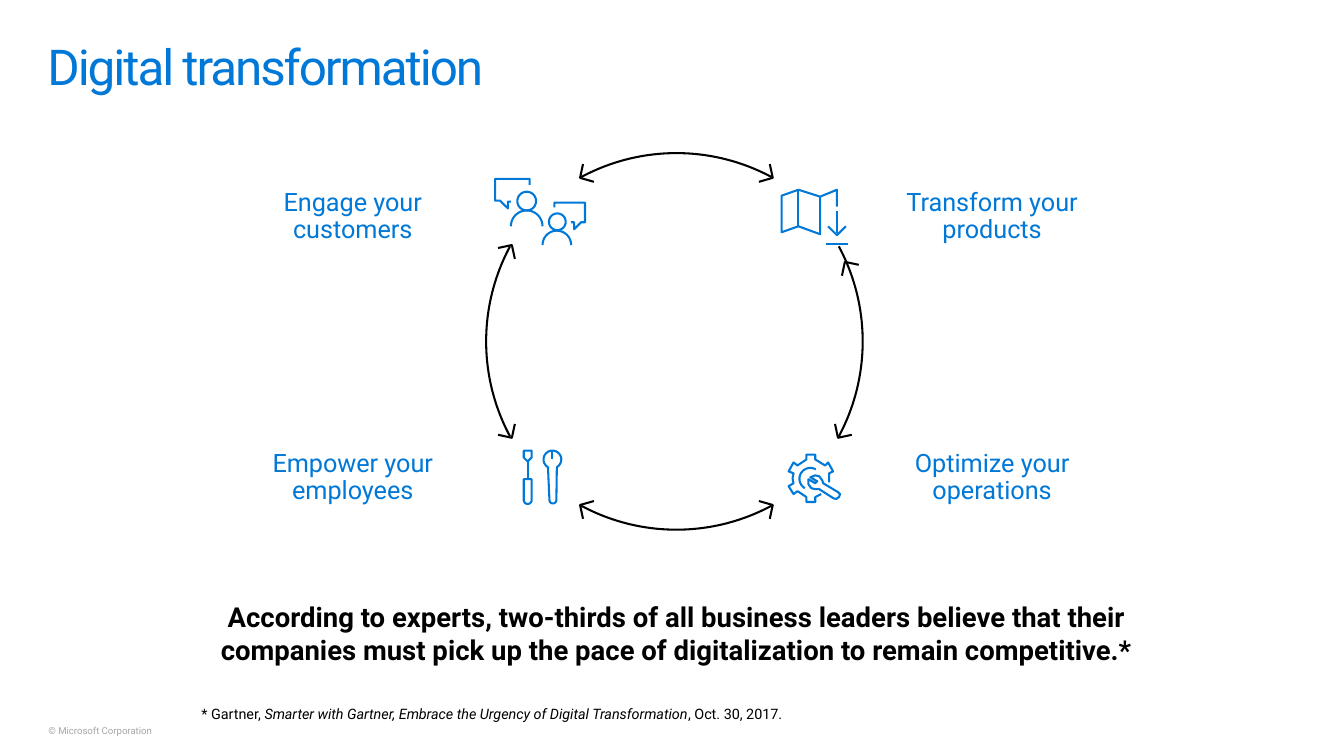
from dataclasses import dataclass
from math import cos, radians, sin

from lxml.etree import SubElement
from pptx import Presentation
from pptx.dml.color import RGBColor
from pptx.enum.shapes import MSO_SHAPE as Shape
from pptx.enum.text import MSO_ANCHOR as Anchor, PP_ALIGN as Align
from pptx.oxml.ns import qn
from pptx.util import Inches, Pt

COLUMNS, ROWS = 1360, 765  # grid cells of a hundredth of an inch


@dataclass(frozen=True)
class Theme:
    font: str = "Roboto"
    blue: RGBColor = RGBColor(0x00, 0x78, 0xD7)
    black: RGBColor = RGBColor(0x00, 0x00, 0x00)
    grey: RGBColor = RGBColor(0xA6, 0xA6, 0xA6)
    title: float = 36
    label: float = 18.4
    quote: float = 20
    footnote: float = 10.5
    copyright: float = 7
    line: float = 1.5


THEME = Theme()

LABEL_COLUMNS = (214, 861)
LABEL_ROWS = (175, 439)
LABELS = (
    ("Engage your customers", "Transform your products"),
    ("Empower your employees", "Optimize your operations"),
)
CYCLE_CENTRE = (684.5, 345.5)
CYCLE_RADIUS = 203.5
HALF_SWEEP = 28.2

# Direction in degrees, and how far the arc's centre lies from the cycle's
CYCLE_ARCS = ((270, 0, 13), (90, 0, -13), (0, -15, 0), (180, 11, 0))

# Wings and tip, then the tips with the side they point to
SIDEWAYS_HEAD = ((-14, 4), (0, 0), (-3, -14))
SIDEWAYS_TIPS = ((782, 180, 1, 1), (587, 180, -1, 1),
                 (782, 511, 1, -1), (587, 511, -1, -1))
UPRIGHT_HEAD = ((-3, -14), (0, 0), (14, -3))
UPRIGHT_TIPS = ((848, 443, 1, 1), (855, 265, 1, -1),
                (518, 443, -1, 1), (518, 248, -1, -1))


def cells(count):
    return Inches(count / 100)


def arc_points(x, y, radius, start, end):
    steps = 24
    angles = [radians(start + (end - start) * i / steps) for i in range(steps + 1)]
    return [(x + radius * cos(a), y + radius * sin(a)) for a in angles]


def person(bubble, head, shoulders):
    return [bubble, arc_points(*head, 0, 360), arc_points(*shoulders, 180, 360)]


def icons():
    """Return the left, top and strokes of each icon."""
    big_person = person(
        [(35, 6), (35, 0), (0, 0), (0, 22), (5, 22), (13, 30), (13, 23), (16, 23)],
        (32, 22.5, 9.5), (32, 48, 16))
    small_person = person(
        [(12, 5), (12, 0), (43, 0), (43, 20), (39, 20), (32, 27), (32, 20), (29, 20)],
        (15, 19.5, 8.5), (14.5, 43, 14.5))
    folded_map = [
        [(56, 17), (56, 0), (39, 7), (17, 0), (0, 6), (0, 43), (17, 37), (39, 45), (39, 7)],
        [(17, 0), (17, 37)],
        [(56, 22), (56, 44)],
        [(47, 37), (56, 46), (65, 37)],
        [(45, 55), (67, 55)],
    ]
    wrench = arc_points(29, 9, 9, 120, 420) + arc_points(29.5, 50, 3.5, 0, 180)
    handle = [(0, 29), (8, 29)] + arc_points(4, 50, 4, 0, 180)
    tools = [
        wrench + wrench[:1],
        handle + handle[:1],
        [(8, 0), (0, 0), (0, 7), (4, 11), (8, 7), (8, 0)],
        [(4, 11), (4, 29)],
        [(29, 0), (29, 9)],
    ]
    gear = [
        [(33, 40), (27, 43), (27, 48), (18, 48), (18, 43), (9, 37), (5, 40), (0, 32),
         (5, 29), (4, 24), (5, 19), (0, 17), (5, 8), (9, 11), (18, 5), (18, 0),
         (27, 0), (27, 5), (37, 11), (40, 8), (45, 17), (41, 19), (41, 28)],
        arc_points(22, 24.5, 11, 300, 120),
        [(31, 35), (45, 44), (48, 45), (51, 43), (52, 40), (50, 38), (35, 29),
         (34, 26), (31, 22), (27, 21), (22, 23), (29, 27), (27, 29), (20, 25),
         (20, 30), (23, 34), (27, 35), (31, 35)],
    ]
    return ((501, 181, big_person), (549, 205, small_person), (791, 192, folded_map),
            (530, 456, tools), (798, 460, gear))


def style_line(shape, color):
    shape.shadow.inherit = False
    shape.fill.background()
    shape.line.color.rgb = color
    shape.line.width = Pt(THEME.line)


def add_strokes(slide, left, top, strokes, color):
    """Draw open strokes, given in cells from left and top, as one outline."""
    placed = [[(cells(left + x), cells(top + y)) for x, y in stroke] for stroke in strokes]
    builder = slide.shapes.build_freeform(*placed[0][0])
    for index, stroke in enumerate(placed):
        if index:
            builder.move_to(*stroke[0])
        builder.add_line_segments(stroke[1:], close=False)
    style_line(builder.convert_to_shape(), color)


def add_cycle_arc(slide, direction, shift_x, shift_y):
    left = CYCLE_CENTRE[0] + shift_x - CYCLE_RADIUS
    top = CYCLE_CENTRE[1] + shift_y - CYCLE_RADIUS
    size = cells(2 * CYCLE_RADIUS)
    arc = slide.shapes.add_shape(Shape.ARC, cells(left), cells(top), size, size)
    for index, sweep in enumerate((-HALF_SWEEP, HALF_SWEEP)):
        arc.adjustments[index] = (direction + sweep) % 360 * 0.6
    style_line(arc, THEME.black)


def add_heads(slide, head, tips):
    for x, y, side_x, side_y in tips:
        points = [(dx * side_x, dy * side_y) for dx, dy in head]
        add_strokes(slide, x, y, [points], THEME.black)


def set_margins(frame, left, top, right, bottom):
    frame.margin_left, frame.margin_top = cells(left), cells(top)
    frame.margin_right, frame.margin_bottom = cells(right), cells(bottom)


def format_runs(paragraph, size, color, bold=False):
    for run in paragraph.runs:
        run.font.name = THEME.font
        run.font.size = Pt(size)
        run.font.color.rgb = color
        run.font.bold = bold


def add_text(slide, box, text, size, color, align=Align.LEFT, spacing=1.0,
             bold=False, margins=(10, 5, 10, 5), anchor=Anchor.TOP, wrap=True):
    frame = slide.shapes.add_textbox(*map(cells, box)).text_frame
    frame.word_wrap = wrap
    frame.vertical_anchor = anchor
    set_margins(frame, *margins)
    frame.text = text
    paragraph = frame.paragraphs[0]
    paragraph.alignment = align
    paragraph.line_spacing = spacing
    format_runs(paragraph, size, color, bold)
    return paragraph


def set_title(slide, text):
    title = slide.shapes.title
    title.left, title.top, title.width, title.height = map(cells, (48, 25, 1265, 85))
    frame = title.text_frame
    frame.text = text
    frame.vertical_anchor = Anchor.TOP
    set_margins(frame, 0, 18, 0, 0)
    paragraph = frame.paragraphs[0]
    paragraph.alignment = Align.LEFT
    paragraph.line_spacing = 0.9
    format_runs(paragraph, THEME.title, THEME.blue)
    paragraph.runs[0].font._element.set("spc", "-150")


def add_footnote(slide):
    paragraph = add_text(slide, (194, 709, 1092, 28), "* Gartner, ",
                         THEME.footnote, THEME.black)
    source = paragraph.add_run()
    source.text = "Smarter with Gartner, Embrace the Urgency of Digital Transformation"
    paragraph.add_run().text = ", Oct. 30, 2017."
    format_runs(paragraph, THEME.footnote, THEME.black)
    source.font.italic = True


def main():
    presentation = Presentation()
    presentation.slide_width, presentation.slide_height = cells(COLUMNS), cells(ROWS)
    slide = presentation.slides.add_slide(presentation.slide_layouts[5])
    set_title(slide, "Digital transformation")
    for top, row in zip(LABEL_ROWS, LABELS):
        for left, label in zip(LABEL_COLUMNS, row):
            add_text(slide, (left, top, 286, 89), label, THEME.label, THEME.blue,
                     Align.CENTER, 0.9, margins=(20, 16, 20, 16), anchor=Anchor.MIDDLE)
    for arc in CYCLE_ARCS:
        add_cycle_arc(slide, *arc)
    add_heads(slide, SIDEWAYS_HEAD, SIDEWAYS_TIPS)
    add_heads(slide, UPRIGHT_HEAD, UPRIGHT_TIPS)
    for left, top, strokes in icons():
        add_strokes(slide, left, top, strokes, THEME.blue)
    add_text(slide, (182, 602, 1005, 77),
             "According to experts, two-thirds of all business leaders believe that their "
             "companies must pick up the pace of digitalization to remain competitive.*",
             THEME.quote, THEME.black, Align.CENTER, bold=True)
    add_footnote(slide)
    add_text(slide, (49, 735, 108, 11), "© Microsoft Corporation", THEME.copyright,
             THEME.grey, spacing=0.9, margins=(0, 0, 0, 0), wrap=False)
    presentation.save("out.pptx")


if __name__ == "__main__":
    main()
